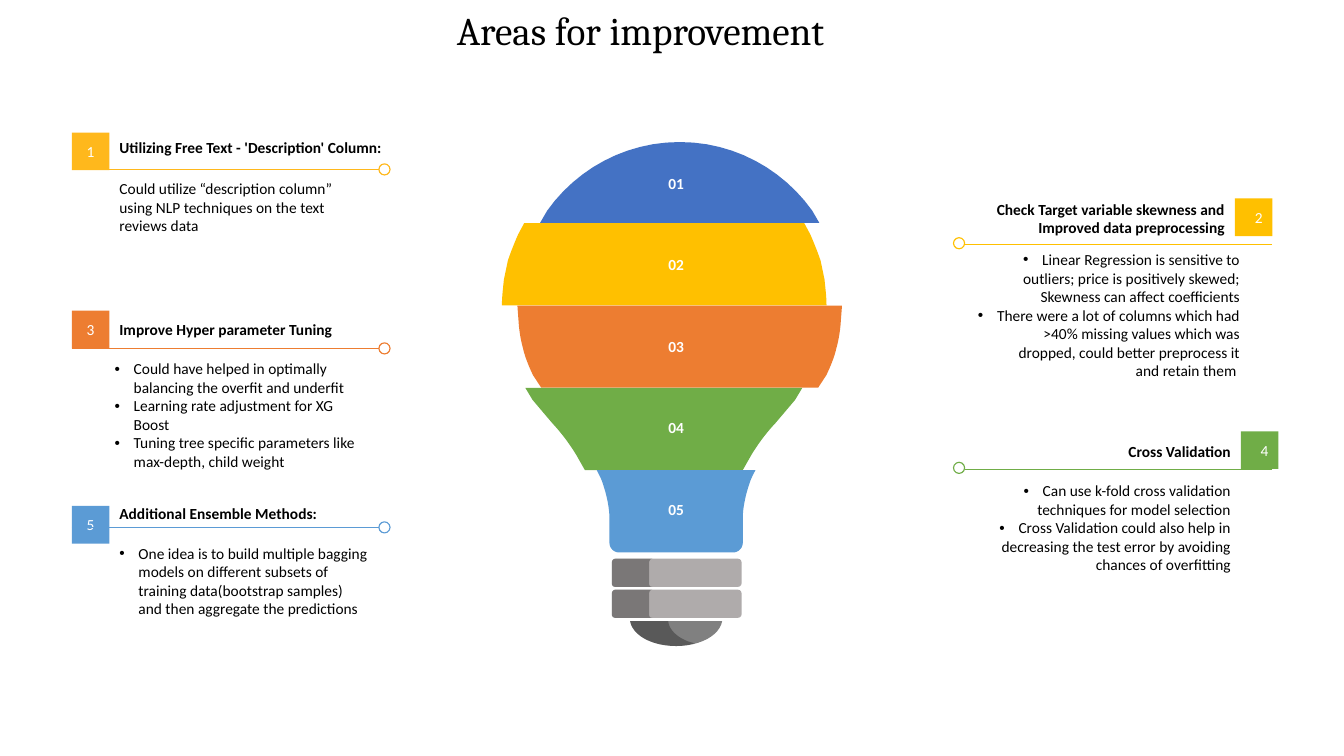
from lxml import etree
from pptx import Presentation
from pptx.dml.color import RGBColor
from pptx.enum.shapes import MSO_CONNECTOR, MSO_SHAPE
from pptx.enum.text import MSO_ANCHOR, PP_ALIGN
from pptx.oxml.ns import qn
from pptx.util import Cm, Pt

BLACK = RGBColor(0x00, 0x00, 0x00)
WHITE = RGBColor(0xFF, 0xFF, 0xFF)
BLUE = RGBColor(0x44, 0x72, 0xC4)
AMBER = RGBColor(0xFF, 0xB8, 0x1C)
GOLD = RGBColor(0xFF, 0xC0, 0x00)
ORANGE = RGBColor(0xED, 0x7D, 0x31)
GREEN = RGBColor(0x70, 0xAD, 0x47)
SKY = RGBColor(0x5B, 0x9B, 0xD5)
RING_GREY = RGBColor(0xAF, 0xAB, 0xAB)
CAP_GREY = RGBColor(0x80, 0x80, 0x80)

# Content; all lengths in cm
TITLE = "Areas for improvement"

# Number, colour, on the left, tile (x, y), line y, circle y, heading middle y,
# body (left, middle y, width, height), heading, body, bulleted
CALLOUTS = [
    ("1", AMBER, True, (1.81, 3.34), 4.27, 4.27, 3.71, (2.76, 5.22, 6.78, 2),
     "Utilizing Free Text - 'Description' Column:",
     ["Could utilize “description column” using NLP techniques on the text reviews data"],
     False),
    ("3", ORANGE, True, (1.81, 7.83), 8.78, 8.78, 8.29, (2.64, 10.46, 6.99, 3.4),
     "Improve Hyper parameter Tuning",
     ["Could have helped in optimally balancing the overfit and underfit",
      "Learning rate adjustment for XG Boost",
      "Tuning tree specific parameters like max-depth, child weight"], True),
    ("5", SKY, True, (1.81, 12.75), 13.29, 13.29, 12.93, (2.76, 14.64, 6.78, 2.5),
     "Additional Ensemble Methods:",
     ["One idea is to build multiple bagging models on different subsets of training "
      "data(bootstrap samples) and then aggregate the predictions"], True),
    ("2", GOLD, False, (31.12, 5.0), 6.17, 6.13, 5.5, (24.31, 7.94, 7.19, 3.9),
     "Check Target variable skewness and Improved data preprocessing",
     ["Linear Regression is sensitive to outliers; price is positively skewed; "
      "Skewness can affect coefficients",
      "There were a lot of columns which had >40% missing values which was dropped, "
      "could better preprocess it and retain them "], True),
    ("4", GREEN, False, (31.27, 10.87), 11.83, 11.79, 11.37, (24.49, 13.3, 6.78, 2.9),
     "Cross Validation",
     ["Can use k-fold cross validation techniques for model selection",
      "Cross Validation could also help in decreasing the test error by avoiding "
      "chances of overfitting"], True),
]

# Right half of each bulb band: label, colour, centre x, segments from the band's top.
# A segment of one point is a line, of three points a Bezier curve.
BANDS = [
    ("01", BLUE, 17.13, [[(0, .03)], [(1.38, .03), (2.6, .72), (3.34, 1.76)],
                         [(3.52, 2.07)]]),
    ("02", GOLD, 16.74, [[(3.53, 0)], [(3.68, .28)],
                         [(3.78, .51), (3.86, .71), (3.94, .94)], [(4.04, 1.42)],
                         [(4.06, 1.63), (4.09, 1.85), (4.09, 2.07)]]),
    ("03", ORANGE, 17.13, [[(4.09, 0)], [(4.05, .53)],
                           [(4.03, .71), (4, .89), (3.95, 1.07)],
                           [(3.9, 1.3), (3.8, 1.53), (3.7, 1.75)], [(3.49, 2.07)]]),
    ("04", GREEN, 16.73, [[(3.49, 0)], [(3.31, .3)], [(2.98, .69)], [(2.81, .89)],
                          [(2.55, 1.17), (2.35, 1.45), (2.2, 1.7)], [(1.99, 2.07)]]),
    ("05", SKY, 17.04, [[(2, 0)], [(1.93, .13), (1.88, .23), (1.85, .33)],
                        [(1.7, .76), (1.68, 1.09), (1.68, 1.2)], [(1.68, 1.83)],
                        [(1.68, 1.96), (1.57, 2.07), (1.45, 2.07)]]),
]
CAP = [[(1.16, 0)], [(1.1, .36), (.61, .63), (0, .63)]]
CAP_SHADE = [[(-.2, 0)], [(-1.16, 0)], [(-1.1, .36), (-.61, .63), (0, .63)],
             [(.15, .63), (.33, .61), (.46, .56)], [(.1, .48), (-.18, .25), (-.2, 0)]]
RING_SHADE = [[(.94, .63)], [(.94, .1)], [(.94, .05), (.97, 0), (1.02, 0)], [(.08, 0)],
              [(.03, 0), (0, .05), (0, .1)], [(0, .63)],
              [(0, .68), (.03, .71), (.08, .71)], [(1.02, .71)],
              [(.97, .71), (.94, .68), (.94, .63)]]

BAND_TOP, BAND_STEP = 3.55, 2.075
LABEL_MIDDLE, LABEL_STEP = 4.61, 2.055
BULB_X, CAP_TOP = 17.04, 15.65
RING_LEFT, RING_TOPS, RING_W, RING_H = 15.42, (14.08, 14.86), 3.27, .71
TILE, CIRCLE, INSET, INDENT = .95, .28, .25, .48
LINE_W = Pt(.81)


def trace(segments, steps=12):
    points = list(segments[0])
    for seg in segments[1:]:
        if len(seg) == 1:
            points += seg
            continue
        ends = [points[-1], *seg]
        for k in range(1, steps + 1):
            t = k / steps
            weights = ((1 - t) ** 3, 3 * t * (1 - t) ** 2, 3 * t * t * (1 - t), t ** 3)
            points.append(tuple(sum(w * e[a] for w, e in zip(weights, ends))
                                for a in (0, 1)))
    return points


def paint(sp, color):
    sp.shadow.inherit = False
    sp.fill.solid()
    sp.fill.fore_color.rgb = color
    sp.line.fill.background()


def outline(points, x, y, color, opacity=None):
    emu = [(Cm(x + dx), Cm(y + dy)) for dx, dy in points]
    builder = s.shapes.build_freeform(*emu[0])
    builder.add_line_segments(emu[1:], close=True)
    sp = builder.convert_to_shape()
    paint(sp, color)
    if opacity:
        clr = sp.fill._xPr.find(".//" + qn("a:srgbClr"))
        etree.SubElement(clr, qn("a:alpha")).set("val", str(opacity * 1000))


def mirrored(half):
    points = trace(half)
    return points + [(-dx, dy) for dx, dy in reversed(points)]


def write(sp, lines, align, color=BLACK, bold=False, bulleted=False, inset=INSET,
          size=11, font="Calibri"):
    tf = sp.text_frame
    tf.word_wrap = True
    tf.vertical_anchor = MSO_ANCHOR.MIDDLE
    tf.margin_left = tf.margin_right = tf.margin_top = tf.margin_bottom = Cm(inset)
    for i, line in enumerate(lines):
        p = tf.add_paragraph() if i else tf.paragraphs[0]
        p.alignment = align
        if bulleted:
            pPr = p._p.get_or_add_pPr()
            pPr.set("marL", str(Cm(INDENT)))
            pPr.set("indent", str(-Cm(INDENT)))
            etree.SubElement(pPr, qn("a:buFont")).set("typeface", "Arial")
            etree.SubElement(pPr, qn("a:buChar")).set("char", "•")
        r = p.add_run()
        r.text = line
        r.font.name, r.font.size, r.font.bold = font, Pt(size), bold
        r.font.color.rgb = color


def text_box(left, middle, width, height, *args, **kwargs):
    sp = s.shapes.add_textbox(Cm(left), Cm(middle - height / 2), Cm(width), Cm(height))
    write(sp, *args, **kwargs)


prs = Presentation()
prs.slide_width, prs.slide_height = Cm(33.87), Cm(19.05)
s = prs.slides.add_slide(prs.slide_layouts[5])

# Title
title = s.shapes.title
title.left, title.top, title.width, title.height = Cm(0), Cm(.03), Cm(32.28), Cm(1.45)
write(title, [TITLE], PP_ALIGN.CENTER, inset=.13, size=28, font="Cambria")

# Bulb bands and their labels
for i, (label, color, centre, half) in enumerate(BANDS):
    outline(mirrored(half), centre, BAND_TOP + i * BAND_STEP, color)
    text_box(BULB_X - .75, LABEL_MIDDLE + i * LABEL_STEP, 1.5, .73, [label],
             PP_ALIGN.CENTER, color=WHITE, bold=True, inset=.13)

# Screw rings and cap
for top in RING_TOPS:
    ring = s.shapes.add_shape(MSO_SHAPE.ROUNDED_RECTANGLE, Cm(RING_LEFT), Cm(top),
                              Cm(RING_W), Cm(RING_H))
    ring.adjustments[0] = .13
    paint(ring, RING_GREY)
    outline(trace(RING_SHADE), RING_LEFT, top, BLACK, opacity=30)
outline(mirrored(CAP), BULB_X, CAP_TOP, CAP_GREY)
outline(trace(CAP_SHADE), BULB_X, CAP_TOP, BLACK, opacity=30)

# Callouts
for (number, color, on_left, (x, y), line_y, circle_y, head_y, body_box,
     heading, body, bulleted) in CALLOUTS:
    align = PP_ALIGN.LEFT if on_left else PP_ALIGN.RIGHT
    tile = s.shapes.add_shape(MSO_SHAPE.RECTANGLE, Cm(x), Cm(y), Cm(TILE), Cm(TILE))
    paint(tile, color)
    write(tile, [number], PP_ALIGN.CENTER if on_left else align, color=WHITE)

    start, end = (1.81, 9.55) if on_left else (32.06, 24.31)
    rule = s.shapes.add_connector(MSO_CONNECTOR.STRAIGHT, Cm(start), Cm(line_y),
                                  Cm(end), Cm(line_y))
    etree.SubElement(rule._element.spPr, qn("a:effectLst"))
    circle = s.shapes.add_shape(MSO_SHAPE.OVAL, Cm(end if on_left else end - CIRCLE),
                                Cm(circle_y - CIRCLE / 2), Cm(CIRCLE), Cm(CIRCLE))
    circle.shadow.inherit = False
    circle.fill.background()
    for part in (rule, circle):
        part.line.color.rgb = color
        part.line.width = LINE_W

    head_left, head_w = (x + TILE, 9.37) if on_left else (x - 6.78, 6.78)
    text_box(head_left, head_y, head_w, 1, [heading], align, bold=True)
    text_box(*body_box, body, align, bulleted=bulleted)

prs.save("out.pptx")
